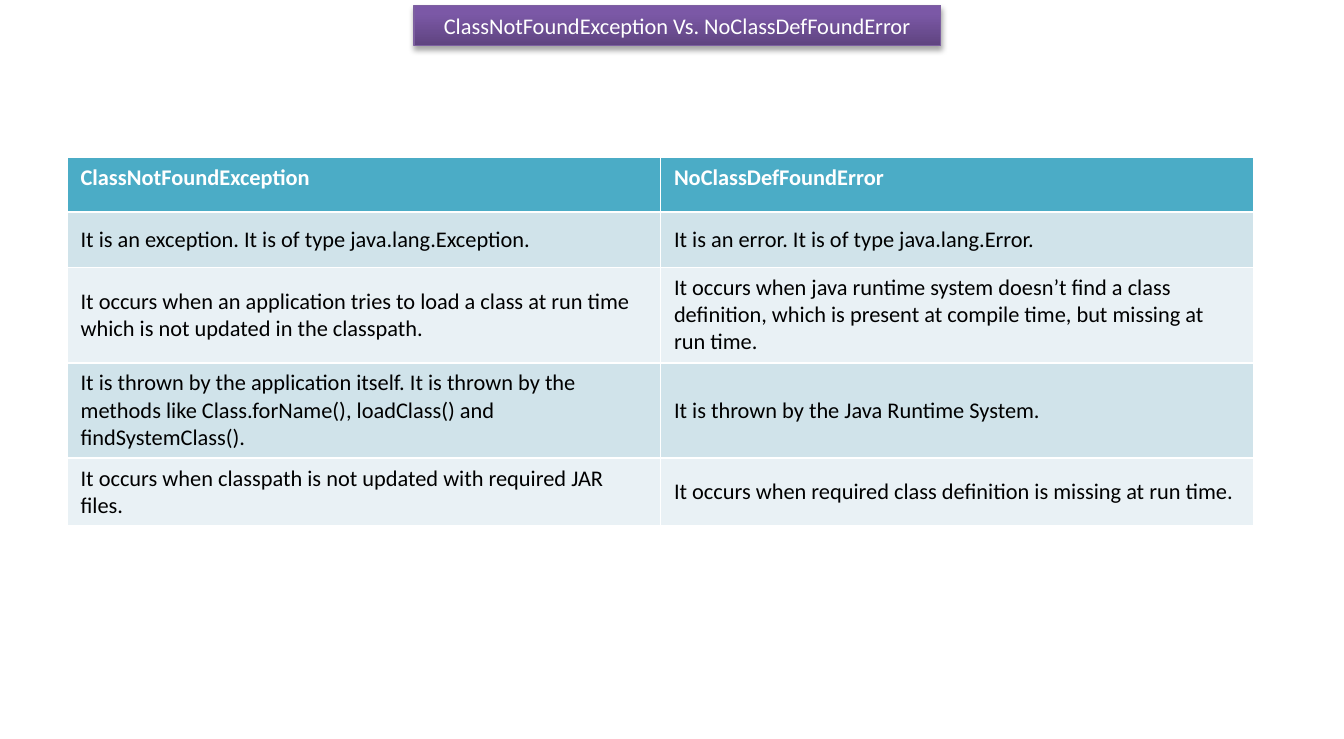
import copy
import pptx
import pptx.util
import pptx.dml.color
import pptx.enum.text
import pptx.oxml
import pptx.oxml.ns

Inches = pptx.util.Inches
Pt = pptx.util.Pt
qn = pptx.oxml.ns.qn


def rgb(value):
    return pptx.dml.color.RGBColor.from_string(value)


def style(p, color, bold=False):
    p.font.name = "Calibri"
    p.font.size = Pt(12)
    p.font.bold = bold
    p.font.color.rgb = rgb(color)


prs = pptx.Presentation()
prs.slide_width = Inches(10)
prs.slide_height = Inches(5.5)
s = prs.slides.add_slide(prs.slide_layouts[5])

title = s.shapes.title
title.left, title.top = Inches(3.08), Inches(0.04)
title.width, title.height = Inches(3.92), Inches(0.3)
title.fill.gradient()
title.fill.gradient_angle = 90
stops = title._element.spPr.find(".//" + qn("a:gsLst"))
stops.insert(1, copy.deepcopy(stops[0]))
gradient = [(0, "5F4480"), (0.8, "7B58A6"), (1, "7C57A8")]
for stop, (position, color) in zip(title.fill.gradient_stops, gradient):
    stop.position = position
    stop.color.rgb = rgb(color)
title.line.color.rgb = rgb("7D60A0")
title.line.width = Pt(0.75)
title._element.spPr.append(pptx.oxml.parse_xml(
    f'<a:effectLst {pptx.oxml.ns.nsdecls("a")}>'
    f'<a:outerShdw blurRad="{Pt(3.1)}" dist="{Pt(1.8)}" dir="5400000" rotWithShape="0">'
    '<a:srgbClr val="000000"><a:alpha val="35000"/></a:srgbClr>'
    '</a:outerShdw></a:effectLst>'))
tf = title.text_frame
tf.text = "ClassNotFoundException Vs. NoClassDefFoundError"
tf.word_wrap = True
tf.auto_size = pptx.enum.text.MSO_AUTO_SIZE.NONE
tf.vertical_anchor = pptx.enum.text.MSO_ANCHOR.MIDDLE
tf.paragraphs[0].alignment = pptx.enum.text.PP_ALIGN.CENTER
style(tf.paragraphs[0], "FFFFFF")

rows = [
    (0.41, "ClassNotFoundException", "NoClassDefFoundError"),
    (0.41, "It is an exception. It is of type java.lang.Exception.",
     "It is an error. It is of type java.lang.Error."),
    (0.7, "It occurs when an application tries to load a class at run time "
     "which is not updated in the classpath.",
     "It occurs when java runtime system doesn’t find a class definition, "
     "which is present at compile time, but missing at run time."),
    (0.7, "It is thrown by the application itself. It is thrown by the methods like "
     "Class.forName(), loadClass() and findSystemClass().",
     "It is thrown by the Java Runtime System."),
    (0.49, "It occurs when classpath is not updated with required JAR files.",
     "It occurs when required class definition is missing at run time."),
]
table = s.shapes.add_table(
    len(rows), 2, Inches(0.5), Inches(1.17), Inches(8.83), Inches(2.71)).table
for i, (height, *texts) in enumerate(rows):
    table.rows[i].height = Inches(height)
    header = i == 0
    fill = "4BACC6" if header else ("E9F1F5", "D0E3EA")[i % 2]
    for cell, text in zip(table.rows[i].cells, texts):
        cell.text = text
        cell.fill.solid()
        cell.fill.fore_color.rgb = rgb(fill)
        if not header:
            cell.vertical_anchor = pptx.enum.text.MSO_ANCHOR.MIDDLE
        style(cell.text_frame.paragraphs[0], "FFFFFF" if header else "000000", header)

prs.save("out.pptx")
